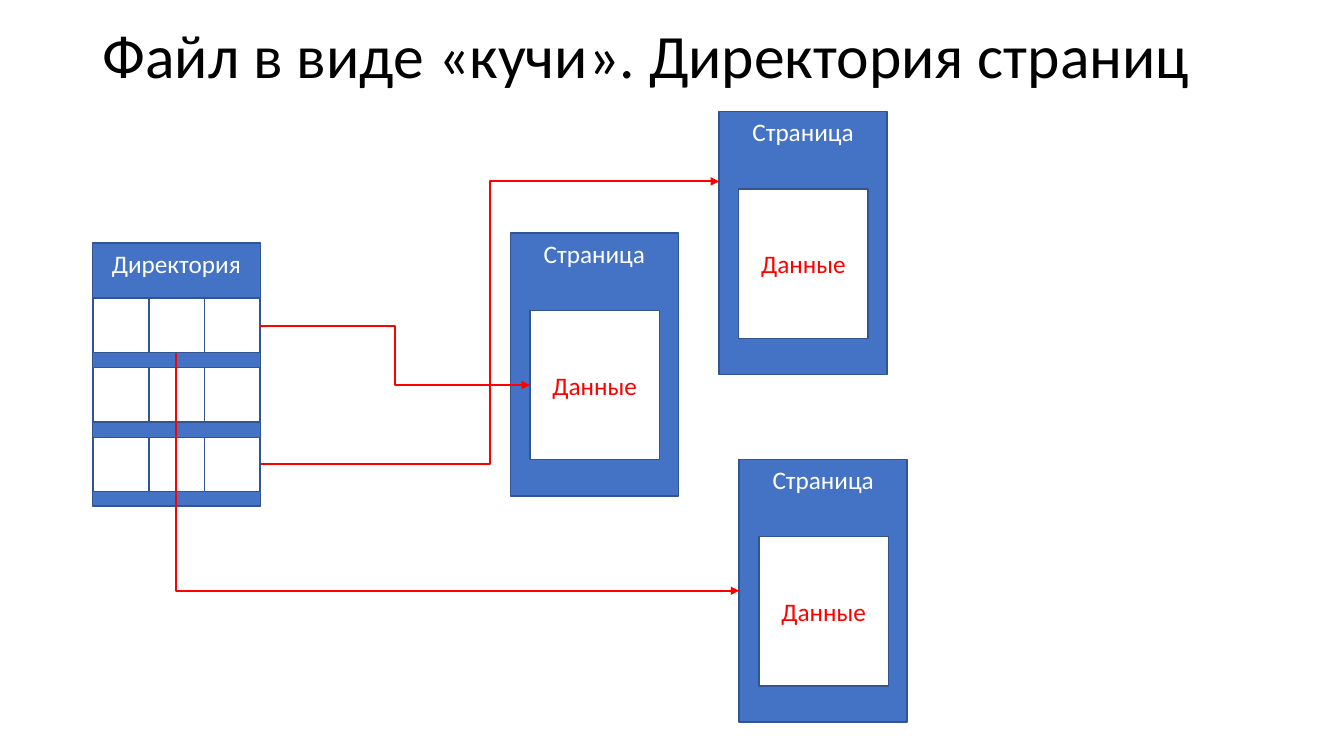
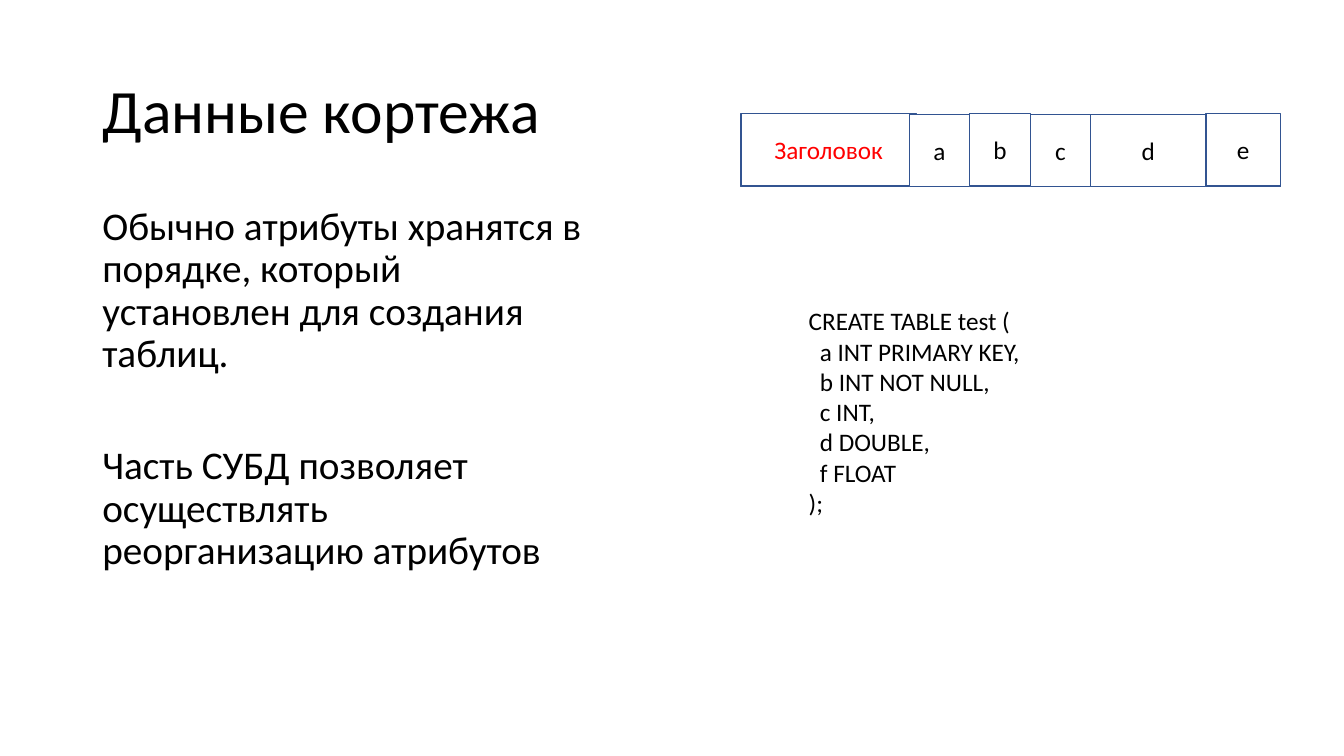
from lxml import etree
from pptx import Presentation
from pptx.dml.color import RGBColor
from pptx.enum.shapes import MSO_CONNECTOR, MSO_SHAPE
from pptx.enum.text import MSO_ANCHOR, MSO_AUTO_SIZE, PP_ALIGN
from pptx.oxml.ns import qn
from pptx.util import Inches, Pt

RECT, ELBOW = MSO_SHAPE.RECTANGLE, MSO_CONNECTOR.ELBOW
TOP, MID = MSO_ANCHOR.TOP, MSO_ANCHOR.MIDDLE
LEFT, MIDDLE = PP_ALIGN.LEFT, PP_ALIGN.CENTER
GROW = MSO_AUTO_SIZE.SHAPE_TO_FIT_TEXT

COLS = 160  # square grid cells across the slide, 90 down
HEX = {"blue": "4472C4", "edge": "325491", "white": "FFFFFF",
       "red": "FF0000", "black": "000000"}
FONTS = {
    "title": {"name": "Calibri", "size": Pt(44)},
    "body": {"name": "Calibri", "size": Pt(28)},
    "label": {"name": "Calibri", "size": Pt(18)},
}
PARAS = {
    "title": {"alignment": LEFT, "line_spacing": 0.9},
    "body": {"alignment": LEFT, "line_spacing": 0.9},
    "label": {"alignment": MIDDLE},
    "code": {"alignment": LEFT},
}


def apply(target, values):
    for key, value in values.items():
        setattr(target, key, value)


def color(name):
    return RGBColor.from_string(HEX[name])


class Deck:
    def __init__(self):
        self.prs = Presentation()
        self.prs.slide_width = Inches(13.33)
        self.prs.slide_height = Inches(7.5)
        self.unit = self.prs.slide_width / COLS
        self.slide = None

    def grid(self, *cells):
        return [round(cell * self.unit) for cell in cells]

    def page(self, title, top):
        self.slide = self.prs.slides.add_slide(self.prs.slide_layouts[6])
        frame = self.text(11, top, 138, 17.4)
        frame.vertical_anchor = MID
        self.line(frame.paragraphs[0], title, "title", "title")

    def line(self, para, words, font, style, ink="black"):
        run = para.add_run()
        run.text = words
        apply(run.font, FONTS[font])
        run.font.color.rgb = color(ink)
        apply(para, PARAS[style])

    def text(self, *spot):
        frame = self.slide.shapes.add_textbox(*self.grid(*spot)).text_frame
        frame.word_wrap = True
        return frame

    def box(self, x, y, wide, high, words="", fill="white", ink="red", anchor=MID):
        shape = self.slide.shapes.add_shape(RECT, *self.grid(x, y, wide, high))
        shape.shadow.inherit = False
        shape.fill.solid()
        shape.fill.fore_color.rgb = color(fill)
        shape.line.color.rgb = color("edge")
        shape.line.width = Pt(1)
        if words:
            shape.text_frame.vertical_anchor = anchor
            self.line(shape.text_frame.paragraphs[0], words, "label", "label", ink)

    def panel(self, x, y, words):
        self.box(x, y, 20, 31.3, words, "blue", "white", TOP)

    def sheet(self, x, y):
        self.panel(x, y, "Страница")
        self.box(x + 2.35, y + 9.2, 15.4, 17.8, "Данные")

    def arrow(self, x1, y1, x2, y2, down=False):
        """Elbow arrow; with down it drops first and turns only once."""
        ends = x1, y1, x2, y2
        if down:
            mid_x, mid_y = (x1 + x2) / 2, (y1 + y2) / 2
            half_w, half_h = (x2 - x1) / 2, (y2 - y1) / 2
            ends = mid_x + half_h, mid_y - half_w, mid_x - half_h, mid_y + half_w
        link = self.slide.shapes.add_connector(ELBOW, *self.grid(*ends))
        link.line.color.rgb = color("red")
        link.line.width = Pt(1.25)
        props = link._element.spPr
        if down:
            props.find(qn("a:xfrm")).set("rot", str(270 * 60000))
            props.find(qn("a:prstGeom")).set("prst", "bentConnector2")
        etree.SubElement(props.find(qn("a:ln")), qn("a:tailEnd"), type="triangle")
        etree.SubElement(props, qn("a:effectLst"))


deck = Deck()

# Heap file: directory with its slots
deck.page("Файл в виде «кучи». Директория страниц", -1.7)
deck.panel(11, 28.95, "Директория")
for row in range(3):
    for col in range(3):
        deck.box(11.1 + col * 6.62, 35.5 + row * 8.28, 6.62, 6.5)

# Heap file: pages and arrows
for x, y in ((85.6, 13.3), (60.75, 27.75), (88, 54.7)):
    deck.sheet(x, y)
deck.arrow(30.9, 38.8, 63.1, 45.85)
deck.arrow(21, 42, 88, 70.35, down=True)
deck.arrow(31.1, 55.3, 85.6, 21.6)

# Tuple: title and body
deck.page("Данные кортежа", 4.8)
body = deck.text(11, 24, 60.5, 57.1)
notes = (
    ("Обычно атрибуты хранятся в порядке, который установлен для создания таблиц.", 10),
    ("Часть СУБД позволяет осуществлять реорганизацию атрибутов", 50),
)
for i, (words, gap) in enumerate(notes):
    para = body.add_paragraph() if i else body.paragraphs[0]
    deck.line(para, words, "body", "body")
    para.space_before = Pt(gap)

# Tuple: header and attribute fields
deck.box(88.2, 13.8, 64.2, 8.4, fill="blue")
deck.box(88.2, 13.5, 20.9, 8.65, "Заголовок")
x = 108.25
for name, wide, top in (("a", 7.2, 13.65), ("b", 7.2, 13.5), ("c", 7.2, 13.65),
                        ("d", 13.7, 13.65), ("e", 8.9, 13.55)):
    deck.box(x, top, wide, 8.6, name, ink="black")
    x += wide

# Tuple: table definition
code = deck.text(95.1, 35.8, 27.9, 26.6)
code.word_wrap = False
code.auto_size = GROW
fields = ("a INT PRIMARY KEY,", "b INT NOT NULL,", "c INT,", "d DOUBLE,", "f FLOAT")
for i, words in enumerate(("CREATE TABLE test (", *fields, ");")):
    para = code.add_paragraph() if i else code.paragraphs[0]
    deck.line(para, words, "label", "code")
    if words in fields:
        para._p.get_or_add_pPr().set("marL", str(Pt(8)))

deck.prs.save("out.pptx")
